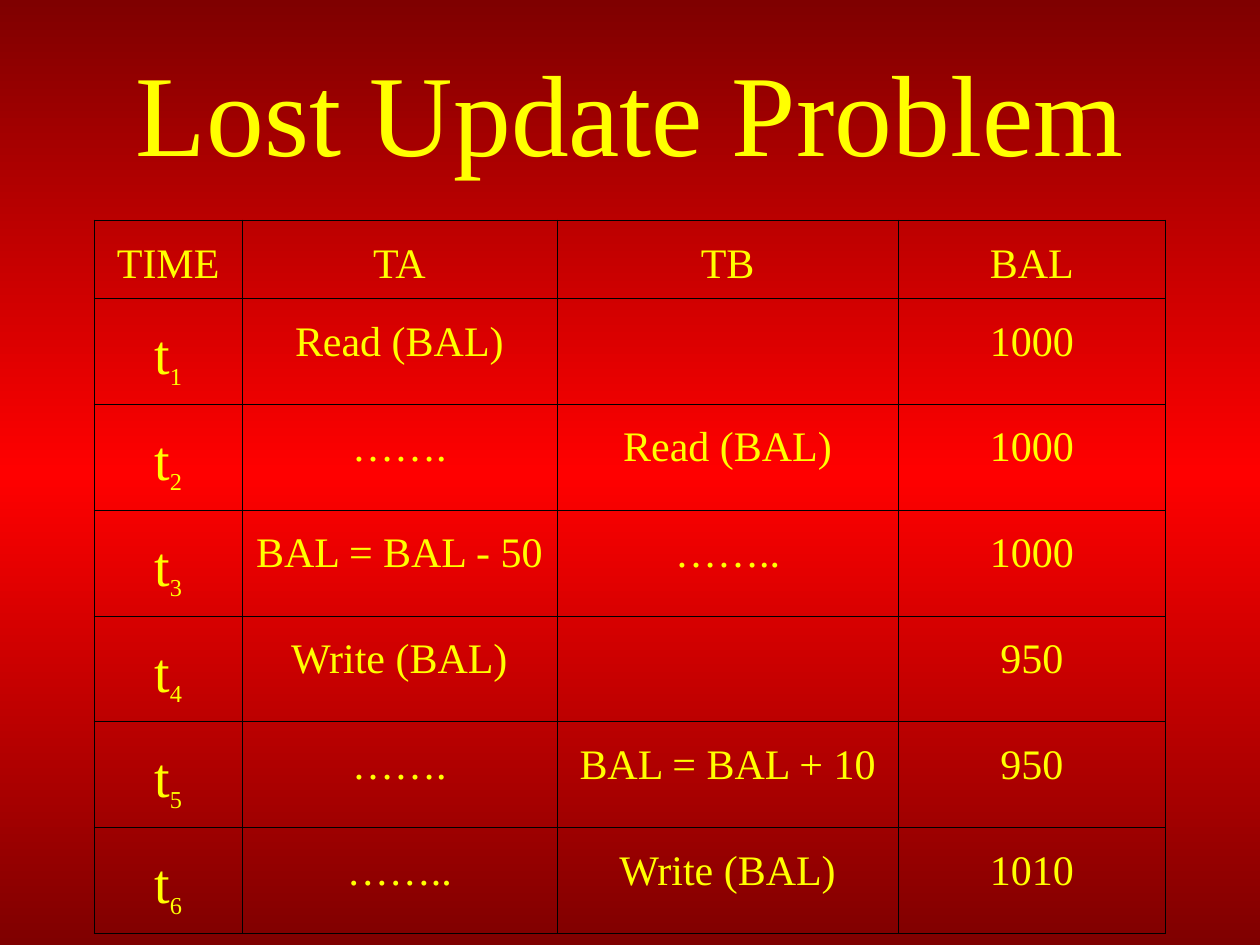
from copy import deepcopy

from lxml.etree import SubElement
from pptx import Presentation
from pptx.dml.color import RGBColor
from pptx.enum.text import MSO_ANCHOR, PP_ALIGN
from pptx.oxml.ns import qn
from pptx.util import Inches, Pt

YELLOW = RGBColor(0xFF, 0xFF, 0x00)
RED = RGBColor(0xFF, 0x00, 0x00)
MAROON = RGBColor(0x7F, 0x00, 0x00)
BLACK = RGBColor(0x00, 0x00, 0x00)

HEADER = ["TIME", "TA", "TB", "BAL"]
STEPS = [
    ("Read (BAL)", "", "1000"),
    ("…….", "Read (BAL)", "1000"),
    ("BAL = BAL - 50", "……..", "1000"),
    ("Write (BAL)", "", "950"),
    ("…….", "BAL = BAL + 10", "950"),
    ("……..", "Write (BAL)", "1010"),
]
COLUMN_WIDTHS = [1.17, 2.5, 2.71, 2.12]
HEADER_HEIGHT = 0.62
STEP_HEIGHT = 0.84


class SlideBuilder:
    font_name = "Times New Roman"
    grid = Inches(0.25)
    thin, thick = Pt(0.45), Pt(1.08)

    def __init__(self, deck):
        self.page = deck.slides.add_slide(deck.slide_layouts[5])

    def background(self, colors):
        fill = self.page.background.fill
        fill.gradient()
        fill.gradient_angle = 90
        stop_list = next(self.page.element.iter(qn("a:gsLst")))
        stop_list.append(deepcopy(stop_list[0]))
        for index, (stop, color) in enumerate(zip(fill.gradient_stops, colors)):
            stop.position = index / (len(colors) - 1)
            stop.color.rgb = color

    def format_span(self, span, size):
        span.font.name = self.font_name
        span.font.size = Pt(size)
        span.font.color.rgb = YELLOW

    def title(self, text, column, row, columns, rows):
        box = self.page.shapes.title
        box.left, box.top = column * self.grid, row * self.grid
        box.width, box.height = columns * self.grid, rows * self.grid
        frame = box.text_frame
        frame.text = text
        frame.word_wrap = True
        frame.vertical_anchor = MSO_ANCHOR.MIDDLE
        para = frame.paragraphs[0]
        para.alignment = PP_ALIGN.CENTER
        self.format_span(para.runs[0], 66)

    def table(self, contents, column, row, widths, heights):
        frame = self.page.shapes.add_table(
            len(heights), len(widths), column * self.grid, row * self.grid,
            Inches(sum(widths)), Inches(sum(heights)))
        table = frame.table
        table.first_row = table.horz_banding = False
        for table_column, width in zip(table.columns, widths):
            table_column.width = Inches(width)
        for table_row, height in zip(table.rows, heights):
            table_row.height = Inches(height)
        last_row, last_column = len(heights) - 1, len(widths) - 1
        for r, texts in enumerate(contents):
            for c, text in enumerate(texts):
                cell = table.cell(r, c)
                self.cell_text(cell, text, is_time=r > 0 and c == 0)
                cell.fill.background()
                self.cell_borders(cell, {
                    "a:lnL": c == 0,
                    "a:lnR": c == last_column,
                    "a:lnT": r == 0,
                    "a:lnB": r == last_row,
                })

    def cell_text(self, cell, text, is_time):
        para = cell.text_frame.paragraphs[0]
        para.alignment = PP_ALIGN.CENTER
        para.line_spacing = 1.3
        if is_time:
            name, number = para.add_run(), para.add_run()
            name.text, number.text = "t", text
            self.format_span(name, 32)
            self.format_span(number, 24)
            number.font._element.set("baseline", "-25000")
        elif text:
            para.text = text
            self.format_span(para.runs[0], 24)

    def cell_borders(self, cell, outer_edges):
        properties = cell._tc.get_or_add_tcPr()
        for index, (tag, is_outer) in enumerate(outer_edges.items()):
            line = SubElement(properties, qn(tag))
            line.set("w", str(int(self.thick if is_outer else self.thin)))
            solid = SubElement(line, qn("a:solidFill"))
            SubElement(solid, qn("a:srgbClr")).set("val", str(BLACK))
            properties.insert(index, line)


def main():
    deck = Presentation()
    deck.slide_width, deck.slide_height = Inches(10), Inches(7.5)
    slide = SlideBuilder(deck)
    slide.background([MAROON, RED, MAROON])
    slide.title("Lost Update Problem", 3, 1, 34, 5)
    contents = [HEADER] + [
        [str(number), *step] for number, step in enumerate(STEPS, start=1)]
    heights = [HEADER_HEIGHT] + [STEP_HEIGHT] * len(STEPS)
    slide.table(contents, 3, 7, COLUMN_WIDTHS, heights)
    deck.save("out.pptx")


if __name__ == "__main__":
    main()
